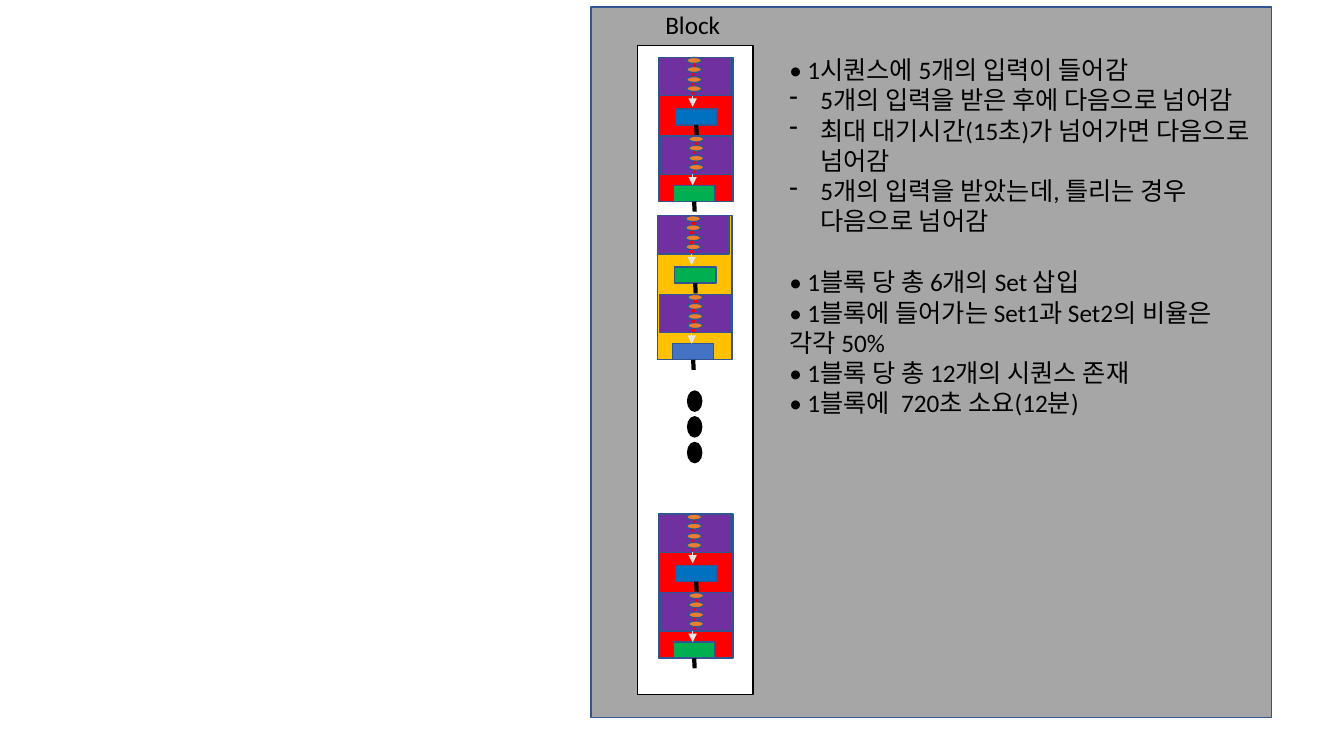
from dataclasses import dataclass

from lxml.etree import SubElement
from pptx import Presentation
from pptx.dml.color import RGBColor
from pptx.enum.shapes import MSO_CONNECTOR as Connector, MSO_SHAPE as Shape
from pptx.enum.text import MSO_AUTO_SIZE as AutoSize
from pptx.oxml.ns import qn
from pptx.util import Inches, Pt


@dataclass(frozen=True)
class Theme:
    font: str = "Calibri"
    text_size: int = 18
    black: str = "000000"
    white: str = "FFFFFF"
    panel: str = "A6A6A6"
    outline: str = "325491"
    purple: str = "7030A0"
    orange: str = "ED7D31"
    red: str = "FF0000"
    amber: str = "FFC000"
    green: str = "00B050"
    blue: str = "0070C0"
    soft_blue: str = "4472C4"
    arrow: str = "E7E6E6"


class SlideBuilder:
    def __init__(self, slide, theme):
        self.slide = slide
        self.theme = theme
        self.shapes = slide.shapes

    def start_group(self):
        """Collect the following elements in a new group."""
        self.shapes = self.slide.shapes.add_group_shape().shapes

    def box(self, left, top, width, height, fill, line=None, kind=Shape.RECTANGLE):
        shape = self.shapes.add_shape(
            kind, Inches(left), Inches(top), Inches(width), Inches(height))
        shape.shadow.inherit = False
        shape.fill.solid()
        shape.fill.fore_color.rgb = RGBColor.from_string(fill)
        shape.line.color.rgb = RGBColor.from_string(line or self.theme.outline)
        shape.line.width = Pt(1)
        return shape

    def ellipse(self, left, top, width, height, fill, line=None):
        return self.box(left, top, width, height, fill, line, Shape.OVAL)

    def vertical_line(self, x, top, bottom, color, width, arrow=False, source=None):
        line = self.shapes.add_connector(
            Connector.STRAIGHT, Inches(x), Inches(top), Inches(x), Inches(bottom))
        line.line.color.rgb = RGBColor.from_string(color)
        line.line.width = Pt(width)
        SubElement(line._element.spPr, qn("a:effectLst"))
        if arrow:
            SubElement(line.line._get_or_add_ln(), qn("a:tailEnd"), type="triangle")
        if source is not None:
            line.begin_connect(source, 2)

    def text(self, left, top, width, height, lines, wrap=True):
        """Each line is (text, dashed, space before in points)."""
        frame = self.shapes.add_textbox(
            Inches(left), Inches(top), Inches(width), Inches(height)).text_frame
        frame.word_wrap = wrap
        frame.auto_size = AutoSize.SHAPE_TO_FIT_TEXT
        for index, (content, dashed, space) in enumerate(lines):
            paragraph = frame.add_paragraph() if index else frame.paragraphs[0]
            paragraph.text = content
            paragraph.font.name = self.theme.font
            paragraph.font.size = Pt(self.theme.text_size)
            paragraph.font.color.rgb = RGBColor.from_string(self.theme.black)
            if space:
                paragraph.space_before = Pt(space)
            if dashed:
                properties = paragraph._p.get_or_add_pPr()
                properties.set("marL", str(Inches(0.31)))
                properties.set("indent", str(-Inches(0.31)))
                SubElement(properties, qn("a:buChar"), char="-")

    def sequence(self, left, top):
        """Purple stage with four inputs and an arrow to its result."""
        theme = self.theme
        self.box(left, top, 0.71, 0.38, theme.purple)
        for offset in (0, 0.09, 0.19, 0.28):
            self.ellipse(left + 0.28, top + offset, 0.15, 0.06, theme.orange)
        for x, offset in ((0.36, 0.06), (0.34, 0.15), (0.34, 0.25), (0.34, 0.34)):
            self.vertical_line(left + x, top + offset, top + offset + 0.03, theme.red, 0)

    def sequence_set(self, left, top, fill, results):
        """Two sequences, each followed by a coloured result box."""
        theme = self.theme
        self.start_group()
        self.box(left, top, 0.74, 1.43, fill)
        for x, y, color in zip((0.17, 0.15), (0.51, 1.27), results):
            result = self.box(left + x, top + y, 0.41, 0.16, color)
            self.vertical_line(left + x + 0.21, top + y + 0.16, top + y + 0.26,
                               theme.black, 3, source=result)
        for x, y in ((0, 0), (0.02, 0.78)):
            self.sequence(left + x, top + y)
            self.vertical_line(left + 0.34, top + y + 0.38, top + y + 0.49,
                               theme.arrow, 0.5, arrow=True)


def main():
    theme = Theme()
    presentation = Presentation()
    presentation.slide_width = Inches(13.33)
    presentation.slide_height = Inches(7.5)
    slide = presentation.slides.add_slide(presentation.slide_layouts[6])
    builder = SlideBuilder(slide, theme)

    # Panel, label and explanation
    builder.box(5.86, 0.07, 6.75, 7.05, theme.panel)
    builder.text(6.5, 0.04, 0.79, 0.4, [("Block", False, 0)], wrap=False)
    builder.text(7.73, 0.49, 4.76, 4.04, [
        ("• 1시퀀스에 5개의 입력이 들어감", False, 0),
        ("5개의 입력을 받은 후에 다음으로 넘어감", True, 0),
        ("최대 대기시간(15초)가 넘어가면 다음으로 넘어감", True, 0),
        ("5개의 입력을 받았는데, 틀리는 경우 다음으로 넘어감", True, 0),
        ("• 1블록 당 총 6개의 Set 삽입", False, 22),
        ("• 1블록에 들어가는 Set1과 Set2의 비율은 각각 50%", False, 0),
        ("• 1블록 당 총 12개의 시퀀스 존재", False, 0),
        ("• 1블록에  720초 소요(12분)", False, 0),
    ])

    # Block frame and continuation dots
    builder.box(6.32, 0.45, 1.15, 6.44, theme.white, theme.black)
    for index in range(3):
        builder.ellipse(6.82, 3.88 + index * 0.255, 0.14, 0.2, theme.black, theme.black)

    # Sets inside the block
    builder.sequence_set(6.52, 2.14, theme.amber, (theme.green, theme.soft_blue))
    for top in (5.1, 0.57):
        builder.sequence_set(6.53, top, theme.red, (theme.blue, theme.green))

    presentation.save("out.pptx")


if __name__ == "__main__":
    main()
